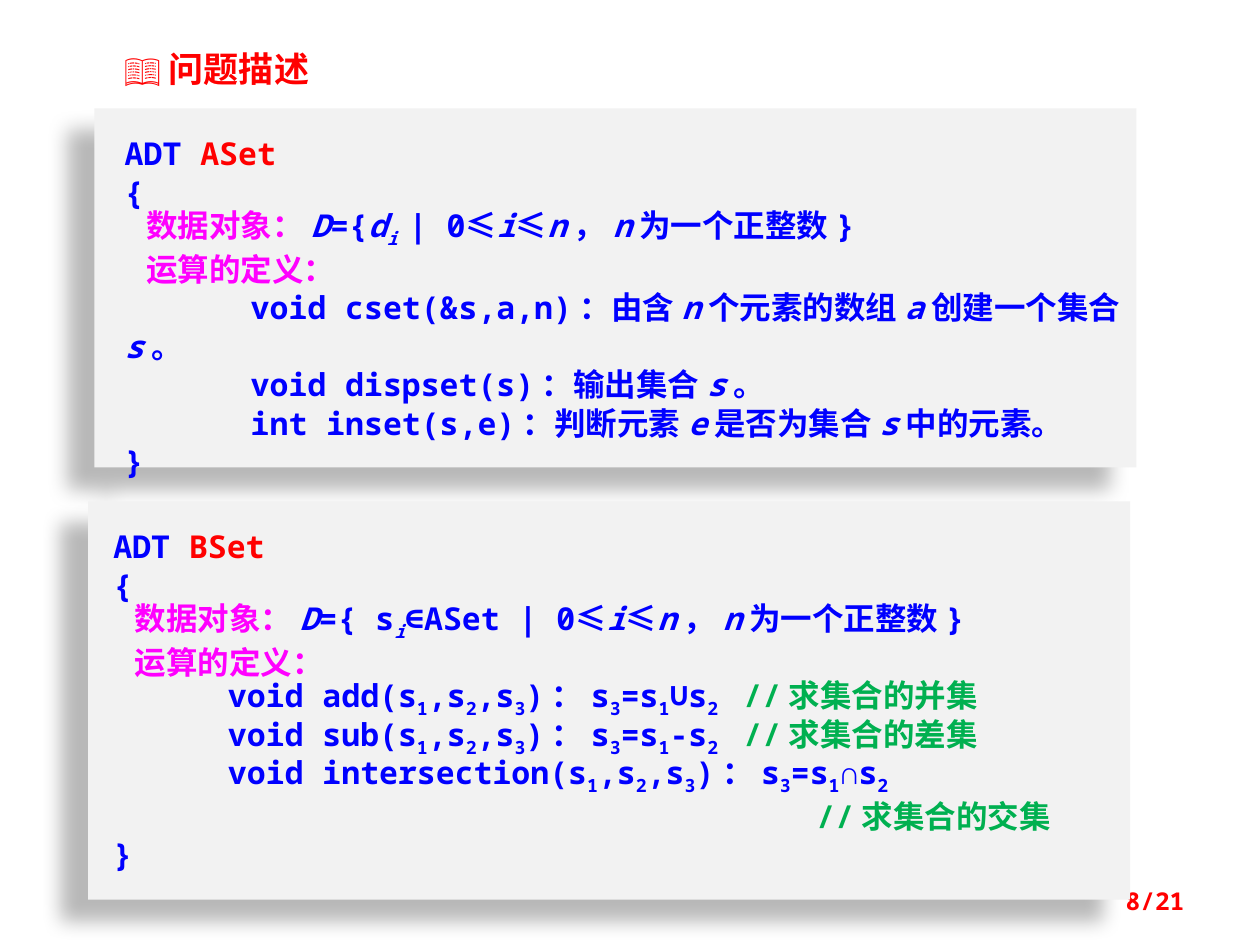
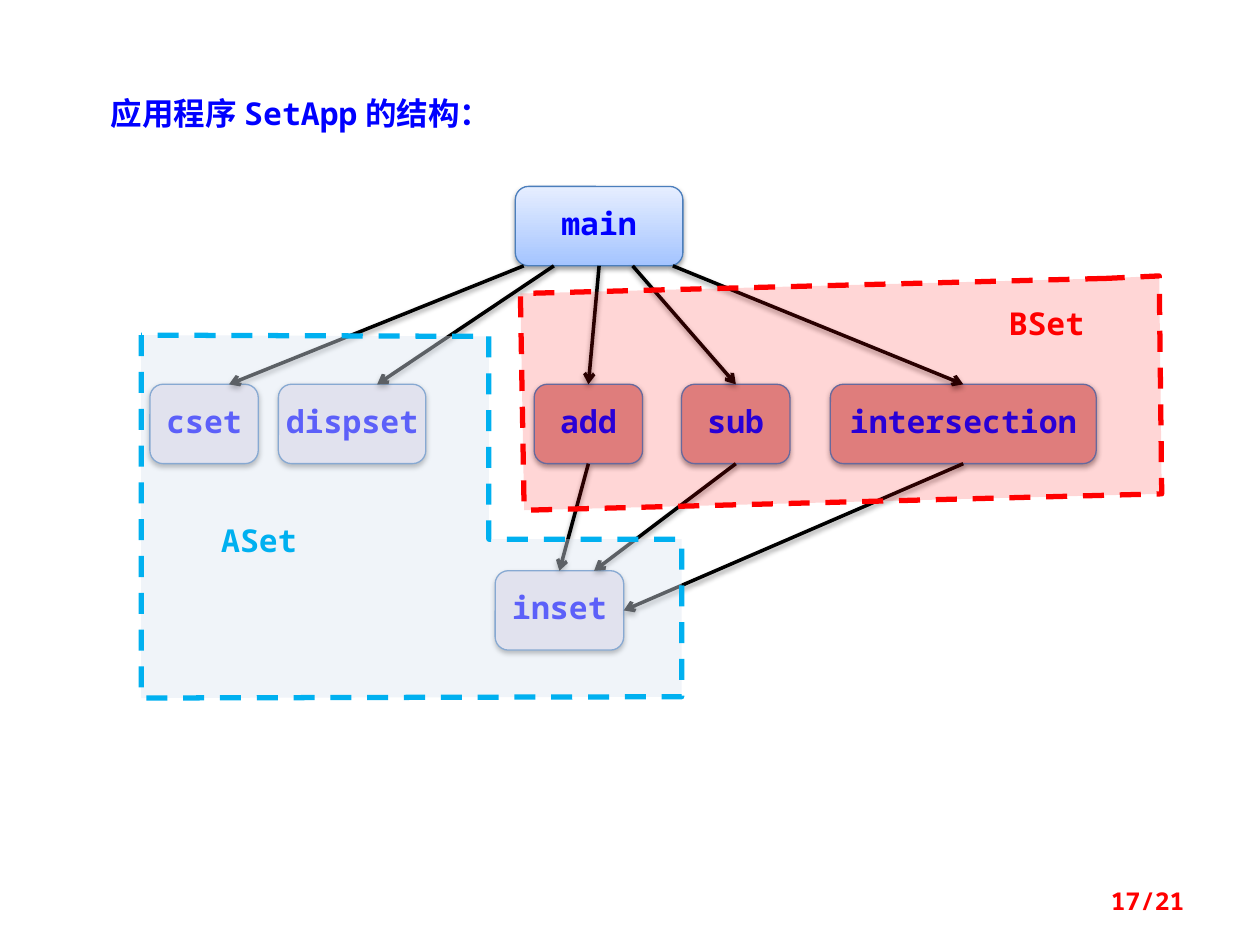
from pptx import Presentation, util as u
from pptx.dml.color import RGBColor
from pptx.enum import dml, shapes, text
from pptx.oxml import parse_xml
from pptx.oxml.ns import qn
from lxml import etree

W, H = 10, 7.5
MONO, CJK = "Noto Sans Mono", "Noto Sans CJK SC"
BLUE, RED, MAGENTA, GREEN, CYAN = "0000FF", "FF0000", "FF00FF", "00B050", "00B0F0"
LILAC, ROSE, SKY = "E6E0EC", "D99694", ("A4C4FF", "E6EEFF")
A_NS = "http://schemas.openxmlformats.org/drawingml/2006/main"
PANEL_SHADOW = dict(alpha=28, blur=11.8, dist=19.7, angle=141)
NODE_SHADOW = dict(alpha=38, blur=3.1, dist=1.6, angle=90)

# Inline marks: `key:text` gives the text one of these styles.
STYLES = {
    "r": dict(color=RED), "m": dict(color=MAGENTA), "g": dict(color=GREEN),
    "i": dict(italic=True), "c": dict(name=CJK),
    "_": dict(sub=True), "_i": dict(sub=True, italic=True),
}
RANGE = "0`c:≤``i:i``c:≤``i:n`，`i:n`为一个正整数}"
S1, S2, S3 = (f"s`_:{n}`" for n in (1, 2, 3))
DATA, OPERATIONS = "`m:数据对象：`", "`m:运算的定义：`"


def set_operation(name, symbol):
    return f"void {name}({S1},{S2},{S3})：{S3}={S1}{symbol}{S2}"


# Each panel: place, left inset, lines as (first-line indent, text)
PANELS = [
    ((0.75, 0.86, 8.27, 2.85), 0.24, [
        (0, "ADT `r:ASet`"),
        (0, "{"),
        (0.17, DATA + "`i:D`={`i:d``_i:i `| " + RANGE),
        (0.17, OPERATIONS),
        (1, "void cset(&s,a,n)：由含`i:n`个元素的数组`i:a`创建一个集合`i:s`。"),
        (1, "void dispset(s)：输出集合`i:s`。"),
        (1, "int inset(s,e)：判断元素`i:e`是否为集合`i:s`中的元素。"),
        (0, "}"),
    ]),
    ((0.7, 3.98, 8.27, 3.16), 0.2, [
        (0, "ADT `r:BSet`"),
        (0, "{"),
        (0.17, DATA + "`i:D`={ s`_i:i`∈ASet | " + RANGE),
        (0.17, OPERATIONS),
        (0.91, set_operation("add", "∪") + "\t`g://求集合的并集`"),
        (0.91, set_operation("sub", "-") + "\t`g://求集合的差集`"),
        (0.91, set_operation("intersection", "∩")),
        (5.58, "`g://求集合的交集`"),
        (0, "}"),
    ]),
]

NODE_H, CALL_ROW = 0.63, 3.05
# Function name: left, top, width, fill
NODES = {
    "main": (4.09, 1.48, 1.33, SKY),
    "cset": (1.19, CALL_ROW, 0.86, LILAC),
    "dispset": (2.21, CALL_ROW, 1.17, LILAC),
    "inset": (3.93, 4.53, 1.02, LILAC),
    "add": (4.24, CALL_ROW, 0.86, ROSE),
    "sub": (5.41, CALL_ROW, 0.86, ROSE),
    "intersection": (6.59, CALL_ROW, 2.11, ROSE),
}
# Caller, share of its bottom edge, callee, point as shares of its width and height
CALLS = [
    ("main", 0.5, "add", (0.5, 0)),
    ("main", 0.23, "dispset", (0.67, 0)),
    ("main", 0.05, "cset", (0.73, 0)),
    ("main", 0.7, "sub", (0.5, 0)),
    ("main", 0.94, "intersection", (0.5, 0)),
    ("add", 0.5, "inset", (0.5, 0)),
    ("sub", 0.5, "inset", (0.77, 0)),
    ("intersection", 0.5, "inset", (1, 0.5)),
]
# Name, label place, outline, line colour, fill, opacity
REGIONS = [
    ("ASet", (1.43, 4.14, 1.25, 0.34),
     [(1.12, 2.66), (1.12, 5.54), (5.41, 5.53), (5.41, 4.28), (3.88, 4.28), (3.88, 2.67)],
     CYAN, "DCE6F2", 42),
    ("BSet", (7.68, 2.42, 1.25, 0.34),
     [(8.78, 2.21), (4.13, 2.33), (4.16, 4.05), (9.22, 3.92), (9.2, 2.19)],
     RED, "FF0000", 16),
]


def rgb(code):
    return RGBColor.from_string(code)


def inches(values):
    return [u.Inches(v) for v in values]


def add_run(p, content, color, size=18, name=MONO, bold=True, italic=False, sub=False):
    r = p.add_run()
    r.text = content
    for key, value in dict(size=u.Pt(size), name=name, bold=bold, italic=italic).items():
        setattr(r.font, key, value)
    r.font.color.rgb = rgb(color)
    props = r.font._element
    if sub:
        props.set("baseline", "-25000")
    props.find(qn("a:latin")).addnext(props.makeelement(qn("a:ea"), {"typeface": CJK}))


def add_marked(p, content, **base):
    """Fill a paragraph from text with `key:text` marks."""
    for n, part in enumerate(content.split("`")):
        style = {}
        if n % 2:
            key, _, part = part.partition(":")
            style = STYLES[key]
        if part:
            add_run(p, part, **{**base, **style})


def add_label(parent, place, content, color, align="LEFT", spacing=1.0, anchor="TOP", **font):
    tf = parent.add_textbox(*inches(place)).text_frame
    tf.word_wrap = True
    tf.vertical_anchor = text.MSO_ANCHOR[anchor]
    p = tf.paragraphs[0]
    p.alignment, p.line_spacing = text.PP_ALIGN[align], spacing
    add_run(p, content, color, **font)


def add_shadow(sp, alpha, blur, dist, angle):
    sp._element.spPr.append(parse_xml(
        f'<a:effectLst xmlns:a="{A_NS}"><a:outerShdw blurRad="{u.Pt(blur)}" dist="{u.Pt(dist)}"'
        f' dir="{angle * 60000}" algn="ctr" rotWithShape="0"><a:srgbClr val="000000">'
        f'<a:alpha val="{alpha * 1000}"/></a:srgbClr></a:outerShdw></a:effectLst>'))


def set_fill(sp, color):
    if isinstance(color, tuple):
        sp.fill.gradient()
        sp.fill.gradient_angle = 90
        for stop, code in zip(sp.fill.gradient_stops, color):
            stop.color.rgb = rgb(code)
    else:
        sp.fill.solid()
        sp.fill.fore_color.rgb = rgb(color)


def set_line(sp, color, width):
    sp.line.color.rgb = rgb(color)
    sp.line.width = u.Pt(width)


def add_panel(s, place, left_inset, lines):
    sp = s.shapes.add_shape(shapes.MSO_SHAPE.RECTANGLE, *inches(place))
    set_fill(sp, "F2F2F2")
    sp.line.fill.background()
    add_shadow(sp, **PANEL_SHADOW)
    tf = sp.text_frame
    tf.word_wrap, tf.vertical_anchor = True, text.MSO_ANCHOR.TOP
    tf.margin_left, tf.margin_top, tf.margin_right, tf.margin_bottom = inches(
        (left_inset, 0.2, 0.1, 0.2))
    for n, (indent, content) in enumerate(lines):
        p = tf.add_paragraph() if n else tf.paragraphs[0]
        p.alignment, p.line_spacing = text.PP_ALIGN.LEFT, u.Pt(22)
        props = p._p.get_or_add_pPr()
        props.set("marL", "0")
        props.set("indent", str(u.Inches(indent)))
        if "\t" in content:
            tabs = etree.SubElement(props, qn("a:tabLst"))
            etree.SubElement(tabs, qn("a:tab"), pos=str(u.Inches(5)), algn="l")
        add_marked(p, content, color=BLUE)


def add_node(s, name, left, top, width, fill):
    sp = s.shapes.add_shape(shapes.MSO_SHAPE.ROUNDED_RECTANGLE,
                            *inches((left, top, width, NODE_H)))
    set_fill(sp, fill)
    set_line(sp, "4B7EBC", 0.75)
    add_shadow(sp, **NODE_SHADOW)
    tf = sp.text_frame
    tf.word_wrap, tf.vertical_anchor = False, text.MSO_ANCHOR.MIDDLE
    p = tf.paragraphs[0]
    p.alignment, p.line_spacing = text.PP_ALIGN.CENTER, 0.8
    add_run(p, name, BLUE)


def node_point(name, across, down):
    left, top, width, _ = NODES[name]
    return left + across * width, top + down * NODE_H


def add_call(s, caller, across, callee, target):
    ends = node_point(caller, across, 1) + node_point(callee, *target)
    line = s.shapes.add_connector(shapes.MSO_CONNECTOR.STRAIGHT, *inches(ends))
    set_line(line, "000000", 2)
    etree.SubElement(line.line._get_or_add_ln(), qn("a:tailEnd"), type="arrow")
    add_shadow(line, **NODE_SHADOW)


def add_region(s, name, label_place, outline, color, fill, opacity):
    group = s.shapes.add_group_shape().shapes
    start, *rest = [inches(point) for point in outline]
    builder = group.build_freeform(*start)
    builder.add_line_segments(rest, close=True)
    sp = builder.convert_to_shape()
    sp.shadow.inherit = False
    set_fill(sp, fill)
    code = sp._element.spPr.find(qn("a:solidFill")).find(qn("a:srgbClr"))
    etree.SubElement(code, qn("a:alpha"), val=str(opacity * 1000))
    set_line(sp, color, 3)
    sp.line.dash_style = dml.MSO_LINE.DASH
    add_label(group, label_place, name, color, "CENTER", 0.8)


def add_slide(prs, number):
    s = prs.slides.add_slide(prs.slide_layouts[6])
    add_label(s.shapes, (7.17, 6.95, 2.33, 0.4), f"{number}/21", RED, "RIGHT",
              anchor="MIDDLE", size=14)
    return s


def main():
    prs = Presentation()
    prs.slide_width, prs.slide_height = inches((W, H))

    s = add_slide(prs, 8)
    add_label(s.shapes, (0.55, 0.23, 2.34, 0.5), "📖 问题描述", RED, "CENTER", 1.3,
              size=20, name=CJK)
    for panel in PANELS:
        add_panel(s, *panel)

    s = add_slide(prs, 17)
    add_label(s.shapes, (0.78, 0.7, 3.98, 0.4), "应用程序SetApp的结构：", BLUE)
    for name, node in NODES.items():
        add_node(s, name, *node)
    for call in CALLS:
        add_call(s, *call)
    for region in REGIONS:
        add_region(s, *region)

    prs.save("out.pptx")


if __name__ == "__main__":
    main()
